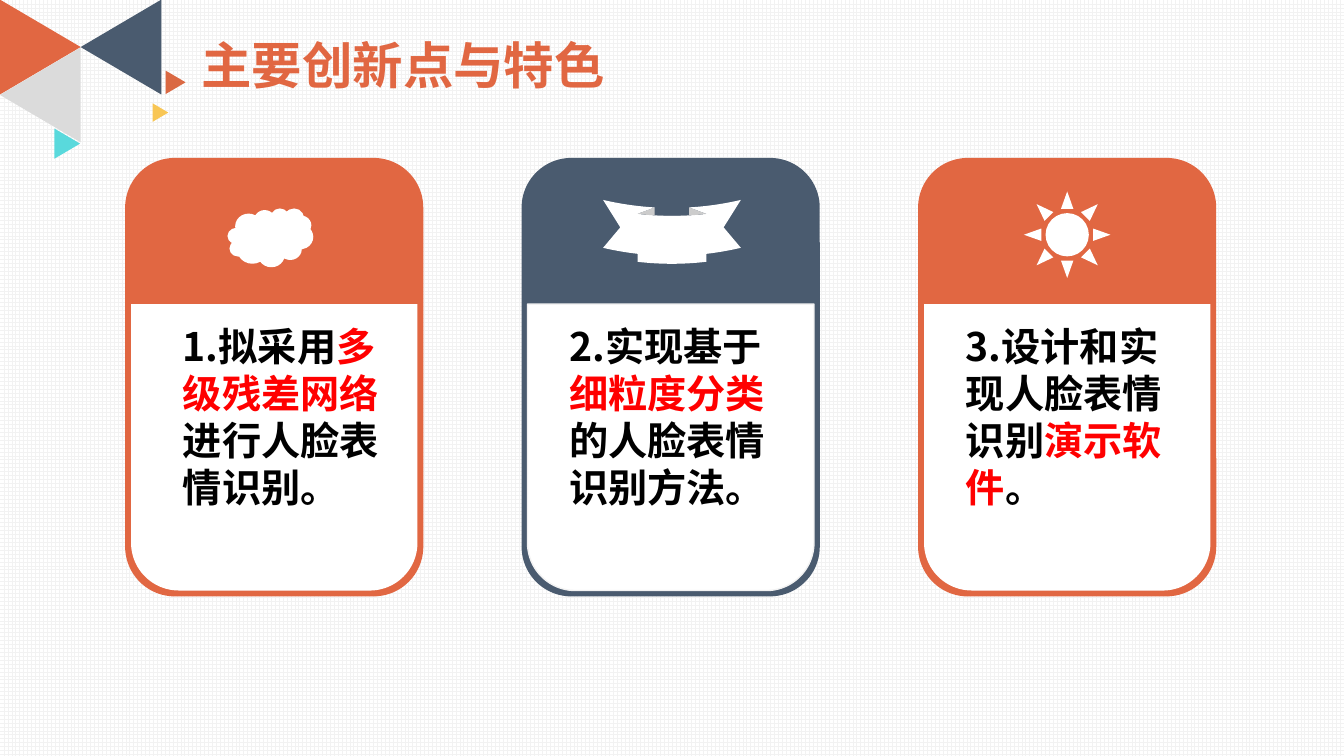
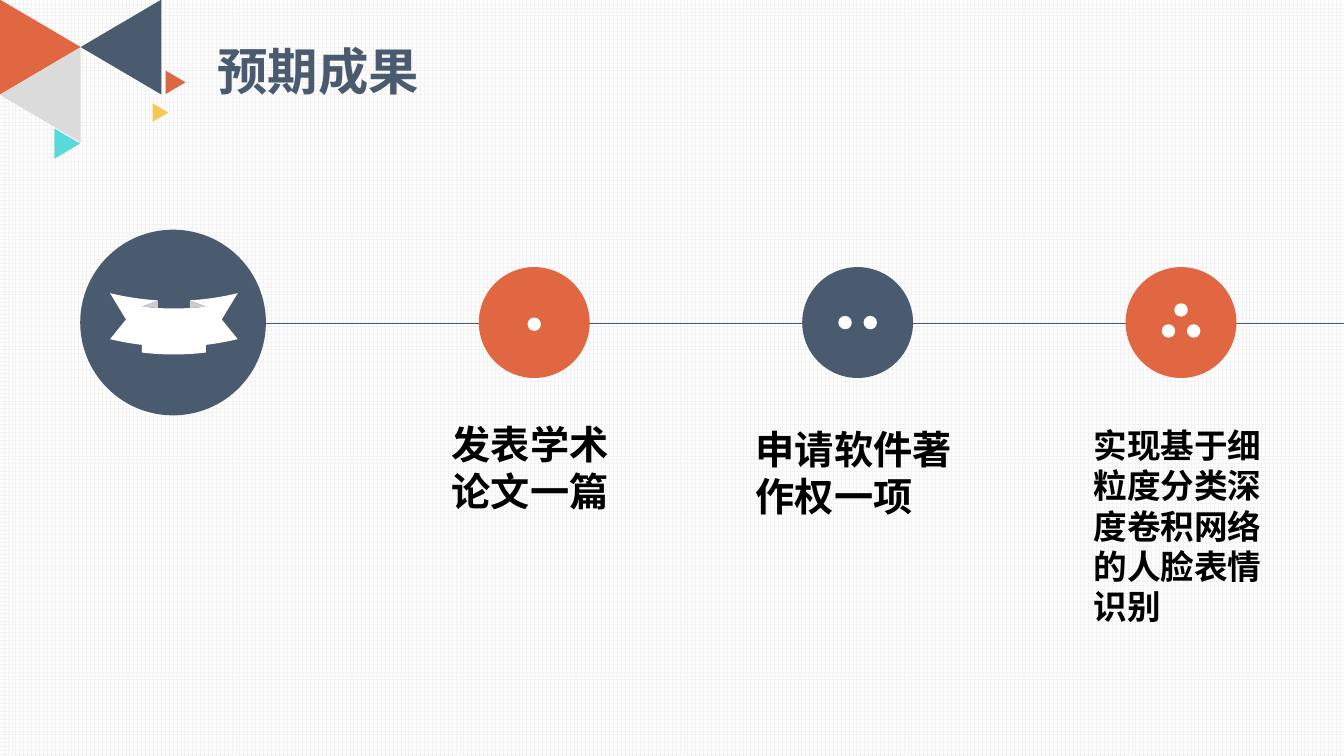
from lxml import etree
from pptx import Presentation
from pptx import util as u
from pptx.dml.color import RGBColor
from pptx.enum import dml, shapes, text
from pptx.oxml.ns import qn

WIDTH = u.Inches(13.33)
HEIGHT = u.Inches(7.5)
COLUMN = WIDTH / 16
ROW = HEIGHT / 9

ORANGE, NAVY, WHITE, PALE = "E16742", "4A5B6F", "FFFFFF", "F2F2F2"
BLACK, RED = "000000", "FF0000"
GREY, TEAL, RUST, YELLOW = "DBDBDB", "59D9DC", "DA6943", "F8C655"
BODY_FONT, TITLE_FONT = "Noto Sans CJK SC", "Quicksand"
SHAPE = shapes.MSO_SHAPE
RIGHT, LEFT = 90, 270

CORNER_TRIANGLES = [
    (0.48, 0.56, 1.13, RIGHT, ORANGE),
    (0.48, 1.13, 1.13, LEFT, GREY),
    (0.8, 1.71, 0.36, RIGHT, TEAL),
    (1.44, 0.56, 1.13, LEFT, NAVY),
    (2.09, 0.98, 0.28, RIGHT, RUST),
    (1.91, 1.34, 0.22, RIGHT, YELLOW),
]

CARD_LEFT, CARD_TOP, CARD_WIDTH, CARD_HEIGHT = 1.49, 1.88, 3.55, 5.22
CARD_PITCH, CARD_BORDER, PANEL_TOP = 4.72, 0.07, 3.62
CARDS = [
    (ORANGE, None, SHAPE.CLOUD, (2.71, 2.48, 1.02, 0.7), (2.06, 3.78, 2.65, 2.95),
     [[("1.拟采用", BLACK), ("多级残差网络", RED)], [("进行人脸表情识别。", BLACK)]]),
    (NAVY, PALE, SHAPE.CURVED_DOWN_RIBBON, (7.18, 2.38, 1.64, 0.76), (6.66, 3.78, 2.84, 2.95),
     [[("2.实现基于", BLACK), ("细粒度分类", RED), ("的人脸表情识别方法。", BLACK)]]),
    (ORANGE, None, SHAPE.SUN, (12.19, 2.28, 1.03, 1.03), (11.38, 3.78, 2.75, 2.39),
     [[("3.设计和实现人脸表情识别", BLACK), ("演示软件", RED), ("。", BLACK)]]),
]

AXIS, FIRST_STOP, STOP_PITCH = 3.84, 6.36, 3.85
STOPS = [
    (ORANGE, [(0, 0.02)], "发表学术论文一篇", 28, (5.26, 4.94, 2.21, 1.81)),
    (NAVY, [(-0.15, 0), (0.15, 0)], "申请软件著作权一项", 28, (8.88, 5, 2.65, 1.25)),
    (ORANGE, [(-0.15, 0.1), (0.15, 0.1), (0, -0.15)],
     "实现基于细粒度分类深度卷积网络的人脸表情识别", 24, (12.9, 5, 2.33, 2.54)),
]


def color(value):
    return RGBColor.from_string(value)


def cells(left, top, width, height):
    return [round(size) for size in (left * COLUMN, top * ROW, width * COLUMN, height * ROW)]


def add_figure(parent, kind, place, fill, outline=None):
    shape = parent.shapes.add_shape(kind, *cells(*place))
    shape.shadow.inherit = False
    shape.fill.solid()
    shape.fill.fore_color.rgb = color(fill)
    if outline:
        shape.line.color.rgb = color(outline)
        shape.line.width = u.Pt(1)
    else:
        shape.line.fill.background()
    return shape


def add_disc(slide, x, y, diameter, fill):
    place = (x - diameter / 2, y - diameter / 2, diameter, diameter)
    return add_figure(slide, SHAPE.OVAL, place, fill)


def add_triangle(group, x, y, side, direction, fill):
    depth = side * 0.85
    place = (x - side / 2, y - depth / 2, side, depth)
    add_figure(group, SHAPE.ISOSCELES_TRIANGLE, place, fill).rotation = direction


def add_words(slide, place, paragraphs, size, font=BODY_FONT):
    frame = slide.shapes.add_textbox(*cells(*place)).text_frame
    frame.word_wrap = True
    frame.vertical_anchor = text.MSO_ANCHOR.TOP
    for index, pieces in enumerate(paragraphs):
        paragraph = frame.add_paragraph() if index else frame.paragraphs[0]
        paragraph.line_spacing = u.Pt(size * 1.2)
        for words, fill in pieces:
            run = paragraph.add_run()
            run.text = words
            run.font.name = font
            run.font.size = u.Pt(size)
            run.font.bold = True
            run.font.color.rgb = color(fill)
            east_asian = etree.SubElement(run.font._element, qn("a:ea"))
            east_asian.set("typeface", BODY_FONT)


def add_axis(slide):
    left, top, width, _ = cells(2, AXIS + 0.01, 14, 0)
    line = slide.shapes.add_connector(
        shapes.MSO_CONNECTOR.STRAIGHT, left, top, left + width, top)
    line.line.color.rgb = color(NAVY)
    line.line.width = u.Pt(0.5)
    etree.SubElement(line._element.spPr, qn("a:effectLst"))


def add_slide(presentation, title, title_color, left, top):
    slide = presentation.slides.add_slide(presentation.slide_layouts[6])
    background = slide.background.fill
    background.patterned()
    background.pattern = dml.MSO_PATTERN.LARGE_GRID
    background.fore_color.rgb = color(PALE)
    background.back_color.rgb = color(WHITE)
    group = slide.shapes.add_group_shape()
    for triangle in CORNER_TRIANGLES:
        add_triangle(group, *triangle)
    add_words(slide, (left, top, 5.3, 0.85), [[(title, title_color)]], 36, TITLE_FONT)
    return slide


def add_card(slide, left, fill, outline, icon, icon_place, text_place, paragraphs):
    add_figure(slide, SHAPE.ROUNDED_RECTANGLE,
               (left, CARD_TOP, CARD_WIDTH, CARD_HEIGHT), fill)
    panel_place = (left + CARD_BORDER, PANEL_TOP, CARD_WIDTH - 2 * CARD_BORDER,
                   CARD_TOP + CARD_HEIGHT - CARD_BORDER - PANEL_TOP)
    panel = add_figure(slide, SHAPE.ROUND_2_SAME_RECTANGLE, panel_place, WHITE, outline)
    panel.rotation = 180
    add_figure(slide, icon, icon_place, WHITE)
    add_words(slide, text_place, paragraphs, 28)


def add_stop(slide, x, fill, dots, words, size, text_place):
    add_disc(slide, x, AXIS, 1.32, fill)
    for across, down in dots:
        add_disc(slide, x + across, AXIS + down, 0.16, WHITE)
    add_words(slide, text_place, [[(words, BLACK)]], size)


def main():
    presentation = Presentation()
    presentation.slide_width = WIDTH
    presentation.slide_height = HEIGHT

    innovations = add_slide(presentation, "主要创新点与特色", ORANGE, 2.28, 0.35)
    for index, card in enumerate(CARDS):
        add_card(innovations, CARD_LEFT + index * CARD_PITCH, *card)

    results = add_slide(presentation, "预期成果", NAVY, 2.47, 0.42)
    add_axis(results)
    add_disc(results, 2.06, AXIS, 2.21, NAVY)
    add_figure(results, SHAPE.CURVED_DOWN_RIBBON, (1.31, 3.49, 1.52, 0.73), WHITE)
    for index, stop in enumerate(STOPS):
        add_stop(results, FIRST_STOP + index * STOP_PITCH, *stop)

    presentation.save("out.pptx")


if __name__ == "__main__":
    main()
